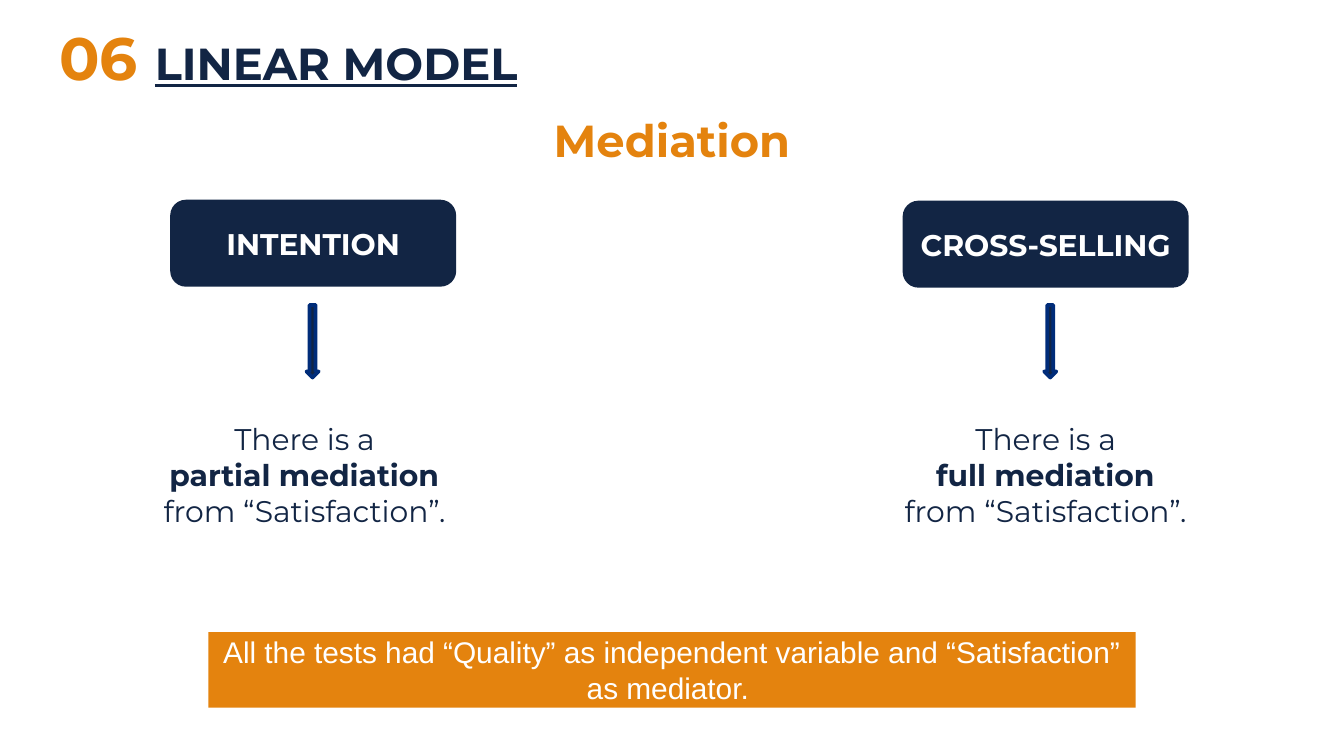
import pptx
import pptx.util
import pptx.dml.color
import pptx.enum.shapes
import pptx.enum.text

Pt = pptx.util.Pt
RGBColor = pptx.dml.color.RGBColor
MSO_SHAPE = pptx.enum.shapes.MSO_SHAPE
PP_ALIGN = pptx.enum.text.PP_ALIGN
MSO_ANCHOR = pptx.enum.text.MSO_ANCHOR

NAVY = RGBColor(0x12, 0x25, 0x44)
BLUE = RGBColor(0x00, 0x2C, 0x79)
ORANGE = RGBColor(0xE4, 0x83, 0x0E)
WHITE = RGBColor(0xFF, 0xFF, 0xFF)


class SlideBuilder:
    """Holds the style and the current slide."""

    heading_font = "Montserrat"
    body_font = "Arial"
    body_size = 16
    heading_size = 24

    def __init__(self, slide):
        self.slide = slide

    def format_run(self, run, size, color, bold=False, font=None, underline=None):
        run.font.name = font or self.heading_font
        run.font.size = Pt(size)
        run.font.color.rgb = color
        run.font.bold = bold
        run.font.underline = underline

    def title(self, number, text, left, top, width, height):
        shape = self.slide.shapes.title
        shape.left, shape.top = Pt(left), Pt(top)
        shape.width, shape.height = Pt(width), Pt(height)
        frame = shape.text_frame
        frame.auto_size = pptx.enum.text.MSO_AUTO_SIZE.NONE
        frame.vertical_anchor = MSO_ANCHOR.BOTTOM
        frame.margin_left = frame.margin_right = Pt(7.2)
        frame.margin_top = frame.margin_bottom = Pt(7.2)
        paragraph = frame.paragraphs[0]
        paragraph.alignment = PP_ALIGN.LEFT
        paragraph.line_spacing = 1.0
        paragraph.space_before = Pt(0)
        for part, size, color, underline in (
            (number + " ", 32, ORANGE, False),
            (text, self.heading_size, NAVY, True),
        ):
            run = paragraph.add_run()
            run.text = part
            self.format_run(run, size, color, True, underline=underline)

    def text(self, lines, left, top, width, height, size, color, bold_lines=()):
        box = self.slide.shapes.add_textbox(Pt(left), Pt(top), Pt(width), Pt(height))
        frame = box.text_frame
        frame.word_wrap = True
        frame.text = "\n".join(lines)
        for index, paragraph in enumerate(frame.paragraphs):
            paragraph.alignment = PP_ALIGN.CENTER
            self.format_run(paragraph.runs[0], size, color, index in bold_lines)

    def shape(self, kind, left, top, width, height, fill, line=None):
        shape = self.slide.shapes.add_shape(
            kind, Pt(left), Pt(top), Pt(width), Pt(height))
        shape.shadow.inherit = False
        shape.fill.solid()
        shape.fill.fore_color.rgb = fill
        if line is None:
            shape.line.fill.background()
        else:
            shape.line.color.rgb = line
            shape.line.width = Pt(2)
        return shape

    def label(self, shape, text, font, bold=False, wrap=True):
        frame = shape.text_frame
        frame.word_wrap = wrap
        frame.vertical_anchor = MSO_ANCHOR.MIDDLE
        frame.text = text
        paragraph = frame.paragraphs[0]
        paragraph.alignment = PP_ALIGN.CENTER
        self.format_run(paragraph.runs[0], self.body_size, WHITE, bold, font)

    def card(self, text, left, top, width, height):
        shape = self.shape(MSO_SHAPE.ROUNDED_RECTANGLE,
                           left, top, width, height, NAVY, NAVY)
        self.label(shape, text, self.heading_font, bold=True, wrap=False)

    def arrow(self, left, top, width, height):
        self.shape(MSO_SHAPE.DOWN_ARROW, left, top, width, height, NAVY, BLUE)

    def banner(self, text, left, top, width, height):
        shape = self.shape(MSO_SHAPE.RECTANGLE, left, top, width, height, ORANGE)
        self.label(shape, text, self.body_font)


def main():
    presentation = pptx.Presentation()
    presentation.slide_width = Pt(720)
    presentation.slide_height = Pt(405)
    slide = presentation.slides.add_slide(presentation.slide_layouts[5])
    builder = SlideBuilder(slide)

    # Title and subtitle
    builder.title("06", "LINEAR MODEL", 24.5, 23, 538, 34)
    builder.text(["Mediation"], 242, 57, 236, 36, builder.heading_size, ORANGE, (0,))

    # One column per outcome: card, arrow, finding
    columns = (
        ("INTENTION", "partial mediation ", 92.2, 108, 164.2, 52.6, 225.4),
        ("CROSS-SELLING", "full mediation ", 484.6, 108.5, 559.4, 468, 188.6),
    )
    for name, finding, card_left, card_top, arrow_left, note_left, note_width in columns:
        builder.card(name, card_left, card_top, 151.2, 44.6)
        builder.arrow(arrow_left, 163.4, 6.5, 38.9)
        builder.text(["There is a ", finding, "from “Satisfaction”. "],
                     note_left, 221.8, note_width, 65.5,
                     builder.body_size, NAVY, (1,))

    # Closing note
    builder.banner("All the tests had “Quality” as independent variable "
                   "and “Satisfaction” as mediator. ", 111.6, 338.6, 496.8, 40.5)

    presentation.save("out.pptx")


if __name__ == "__main__":
    main()
